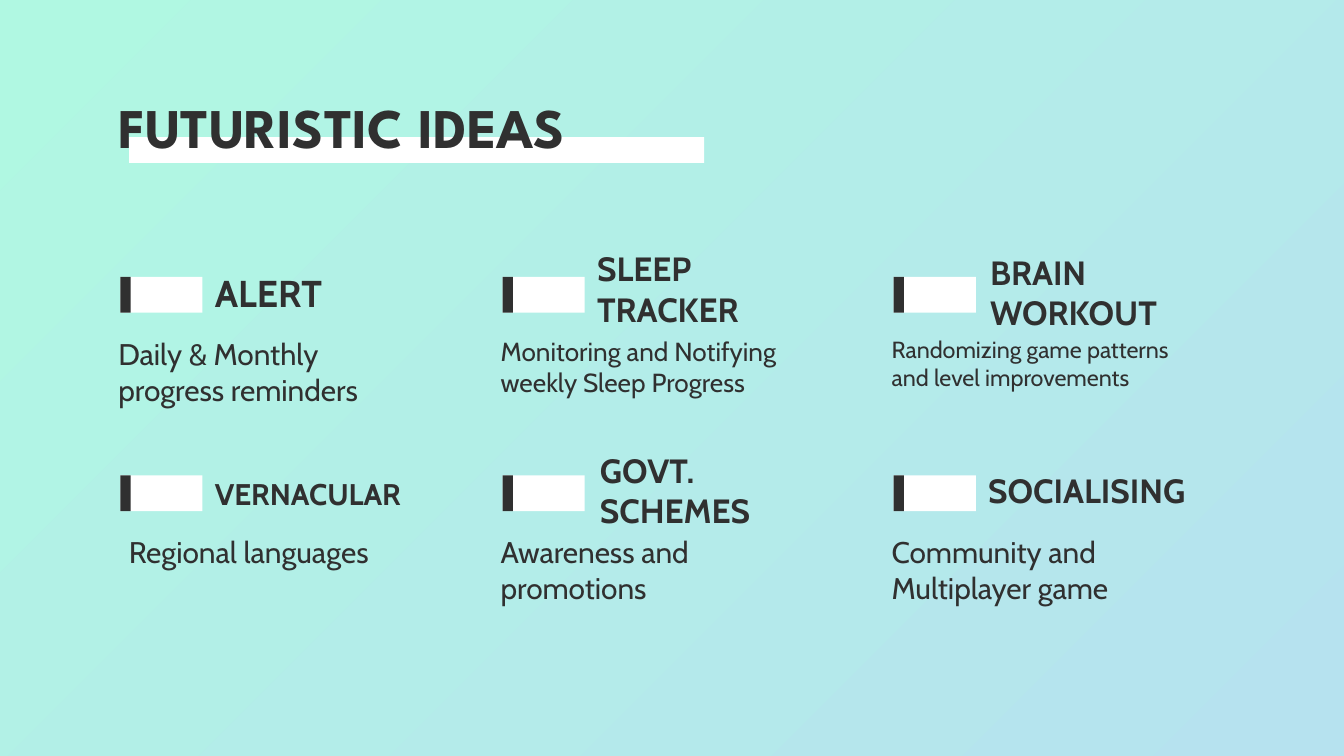
"""Build the Futuristic Ideas slide: a title above a grid of six captioned ideas."""
import pptx
import pptx.dml.color
import pptx.enum.shapes
import pptx.enum.text
import pptx.util

Pt = pptx.util.Pt
RGB = pptx.dml.color.RGBColor
ALIGN = pptx.enum.text.PP_ALIGN
ANCHOR = pptx.enum.text.MSO_ANCHOR

TITLE = "FUTURISTIC IDEAS"
IDEAS = [
    {"head": "ALERT", "head_size": 20, "nudge": (0, 0),
     "body": "Daily & Monthly progress reminders", "body_size": 16, "width": 158},
    {"head": "SLEEP TRACKER", "head_size": 18, "nudge": (0, -2),
     "body": "Monitoring and Notifying weekly Sleep Progress", "body_size": 14, "width": 165},
    {"head": "BRAIN WORKOUT", "head_size": 18, "nudge": (1, 0),
     "body": "Randomizing game patterns and level improvements", "body_size": 12.5, "width": 182},
    {"head": "VERNACULAR", "head_size": 16, "nudge": (0, 1.5),
     "body": "Regional languages", "body_size": 16, "width": 154, "align": ALIGN.CENTER},
    {"head": "GOVT. SCHEMES", "head_size": 18, "nudge": (1.5, -0.5),
     "body": "Awareness and promotions", "body_size": 16, "width": 158},
    {"head": "SOCIALISING", "head_size": 18, "nudge": (0, -0.5),
     "body": "Community and Multiplayer game", "body_size": 16, "width": 158},
]
THEME = {
    "ink": RGB.from_string("303030"), "bar": RGB.from_string("FFFFFF"),
    "sky": [RGB.from_string("B0F8E2"), RGB.from_string("B6E2EF")],
    "display": "League Spartan", "text": "Cabin", "title_size": 30,
}
COLUMNS = [64.5, 269.3, 478.8]
ROWS = [148.3, 254.7]


def set_all(target, values):
    """Set each named attribute of the target."""
    for name, value in values.items():
        setattr(target, name, value)


def add_bar(shapes, left, top, width, height, color):
    """Add a plain filled rectangle."""
    sp = shapes.add_shape(pptx.enum.shapes.MSO_SHAPE.RECTANGLE,
                          Pt(left), Pt(top), Pt(width), Pt(height))
    sp.shadow.inherit = False
    sp.fill.solid()
    sp.fill.fore_color.rgb = color
    sp.line.fill.background()
    return sp


def write(sp, text, font, size, bold=False, anchor=ANCHOR.TOP, align=ALIGN.LEFT):
    """Put one formatted paragraph in a shape."""
    tf = sp.text_frame
    inset = Pt(7.2)
    set_all(tf, {"word_wrap": True, "auto_size": pptx.enum.text.MSO_AUTO_SIZE.NONE,
                 "vertical_anchor": anchor, "margin_left": inset, "margin_top": inset,
                 "margin_right": inset, "margin_bottom": inset})
    p = tf.paragraphs[0]
    p.alignment = align
    r = p.add_run()
    r.text = text
    set_all(r.font, {"name": font, "size": Pt(size), "bold": bold})
    r.font.color.rgb = THEME["ink"]


def add_idea(s, idea, left, top):
    """Add the marker, heading and description of one idea."""
    marker = s.shapes.add_group_shape().shapes
    add_bar(marker, left, top, 44, 19.2, THEME["bar"])
    add_bar(marker, left, top, 5.5, 19.2, THEME["ink"])
    dx, dy = idea["nudge"]
    head = s.shapes.add_textbox(Pt(left + 43.5 + dx), Pt(top - 8 + dy), Pt(124), Pt(32.4))
    write(head, idea["head"], THEME["text"], idea["head_size"], True, ANCHOR.MIDDLE)
    body = s.shapes.add_textbox(Pt(left - 8.2), Pt(top + 24.2), Pt(idea["width"]), Pt(53))
    write(body, idea["body"], THEME["text"], idea["body_size"],
          align=idea.get("align", ALIGN.LEFT))


def main():
    """Build and save the slide."""
    prs = pptx.Presentation()
    set_all(prs, {"slide_width": Pt(720), "slide_height": Pt(405)})
    s = prs.slides.add_slide(prs.slide_layouts[5])
    fill = s.background.fill
    fill.gradient()
    fill.gradient_angle = 315
    for stop, color, position in zip(fill.gradient_stops, THEME["sky"], (0, 1)):
        stop.color.rgb = color
        stop.position = position

    title = s.shapes.title
    set_all(title, {"left": Pt(56.2), "top": Pt(42.5), "width": Pt(408), "height": Pt(54)})
    write(title, TITLE, THEME["display"], THEME["title_size"], True)
    underline = add_bar(s.shapes, 69.2, 73.5, 308, 13.8, THEME["bar"])
    title.element.addprevious(underline.element)

    for i, idea in enumerate(IDEAS):
        row, column = divmod(i, len(COLUMNS))
        add_idea(s, idea, COLUMNS[column], ROWS[row])
    prs.save("out.pptx")


if __name__ == "__main__":
    main()
